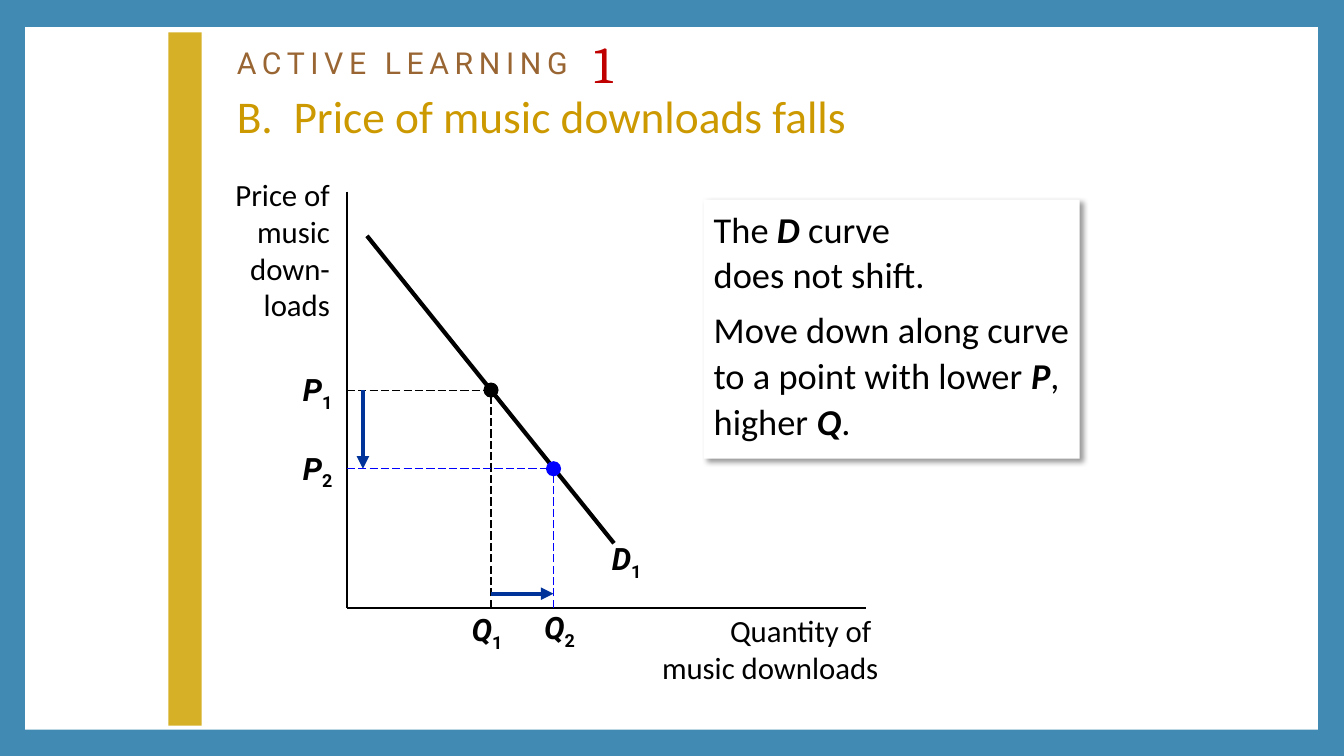
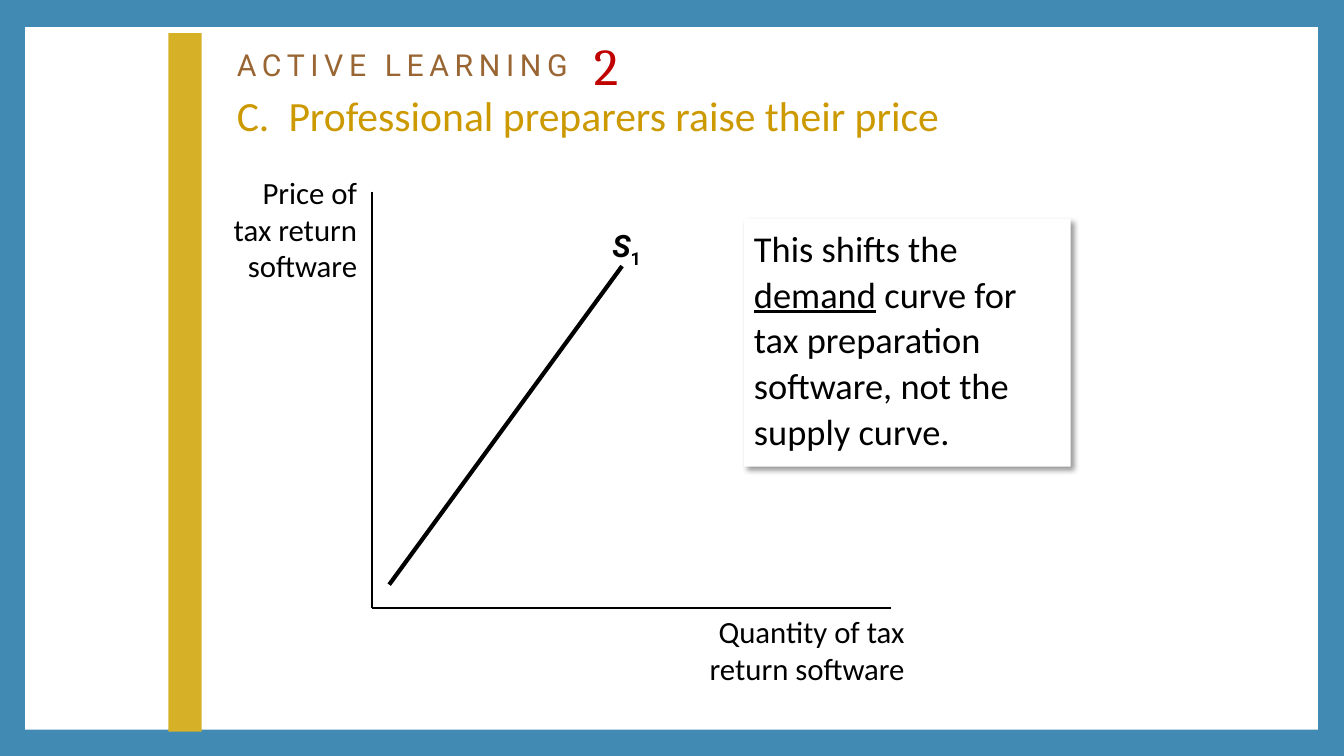
from lxml.etree import SubElement
from pptx import Presentation
from pptx.dml.color import RGBColor
from pptx.enum.dml import MSO_LINE_DASH_STYLE as Dash
from pptx.enum.shapes import MSO_CONNECTOR as Connector, MSO_SHAPE as Shape
from pptx.enum.text import MSO_ANCHOR as Anchor, PP_ALIGN as Align
from pptx.oxml.ns import qn
from pptx.util import Inches, Pt

COLORS = {
    "frame": "418AB3", "panel": "FFFFFF", "band": "D6B128", "ink": "000000",
    "eyebrow": "996633", "number": "C00000", "heading": "CC9900",
    "new": "0000FF", "arrow": "003399",
}
BODY, ACCENT, NUMERAL = "Calibri", "Roboto", "Cambria"
AXIS_TOP, AXIS_BOTTOM, AXIS_WIDTH = 1.9, 6.03, 5.15
DOT = 0.15
SYMBOL = {"bold": True, "italic": True}


def rgb(name):
    return RGBColor.from_string(COLORS[name])


def add_block(slide, kind, left, top, width, height, color):
    block = slide.shapes.add_shape(
        kind, Inches(left), Inches(top), Inches(width), Inches(height))
    block.shadow.inherit = False
    block.fill.solid()
    block.fill.fore_color.rgb = rgb(color)
    block.line.fill.background()
    return block


def add_line(slide, start, end, color="ink", width=1, dash=None, arrow=False):
    line = slide.shapes.add_connector(
        Connector.STRAIGHT, *(Inches(value) for value in (*start, *end)))
    line.line.color.rgb = rgb(color)
    line.line.width = Pt(width)
    if dash:
        line.line.dash_style = dash
    properties = line._element.spPr
    if arrow:
        SubElement(properties.find(qn("a:ln")), qn("a:tailEnd"), type="triangle")
    SubElement(properties, qn("a:effectLst"))


def write(paragraph, pieces, size, font=BODY, color="ink"):
    """Write (text, style) pieces; a style overrides the shared look."""
    for text, style in pieces:
        look = {"size": size, "font": font, "color": color, **style}
        for index, part in enumerate(text.split("\n")):
            if index:
                paragraph.add_line_break()
            if not part:
                continue
            run = paragraph.add_run()
            run.text = part
            run.font.size = Pt(look["size"])
            run.font.name = look["font"]
            run.font.color.rgb = rgb(look["color"])
            run.font.bold = look.get("bold", False)
            run.font.italic = look.get("italic", False)
            run.font.underline = look.get("underline", False)
            properties = run._r.get_or_add_rPr()
            if "baseline" in look:
                properties.set("baseline", str(look["baseline"] * 1000))
            if "spacing" in look:
                properties.set("spc", str(round(look["spacing"] * 100)))


def add_text(slide, left, top, width, height, pieces, size=22, align=Align.LEFT,
             font=BODY):
    box = slide.shapes.add_textbox(
        Inches(left), Inches(top), Inches(width), Inches(height))
    box.text_frame.word_wrap = True
    paragraph = box.text_frame.paragraphs[0]
    paragraph.alignment = align
    write(paragraph, pieces, size, font)
    return box


def add_axis_label(slide, left, top, width, height, text):
    add_text(slide, left, top, width, height, [(text, {})], align=Align.RIGHT)


def add_symbol(slide, left, top, letter, index, width=0.66, align=Align.CENTER):
    """Add a bold letter with a subscript, such as P1."""
    pieces = [(letter, SYMBOL), (index, {"bold": True, "baseline": -25})]
    add_text(slide, left, top, width, 0.47, pieces, align=align, font=ACCENT)


def add_title(slide, number, letter, heading, size, width):
    eyebrow = {"size": 21.6, "font": ACCENT, "color": "eyebrow"}
    pieces = [
        ("ACTIVE LEARNING", {**eyebrow, "spacing": 4}),
        (" ", {**eyebrow, "spacing": 9}),
        (number, {"size": 63.9, "font": NUMERAL, "color": "number", "baseline": -10}),
        (f"\n{letter}.", {"color": "heading"}),
        (" ", {"spacing": size * 0.23}),
        (heading, {"color": "heading"}),
    ]
    title = add_text(slide, 2.25, 0.17, width, 1.04, pieces, size)
    title.text_frame.vertical_anchor = Anchor.MIDDLE
    title.text_frame.paragraphs[0].line_spacing = 0.9


def add_callout(slide, left, top, width, height, paragraphs):
    callout = add_block(slide, Shape.RECTANGLE, left, top, width, height, "panel")
    effects = callout._element.spPr.find(qn("a:effectLst"))
    shadow = SubElement(effects, qn("a:outerShdw"), blurRad=str(Pt(4)),
                        dist=str(Pt(3)), dir="2700000", algn="tl", rotWithShape="0")
    tint = SubElement(shadow, qn("a:srgbClr"), val=COLORS["ink"])
    SubElement(tint, qn("a:alpha"), val="40000")
    frame = callout.text_frame
    frame.word_wrap = True
    frame.vertical_anchor = Anchor.TOP
    for index, pieces in enumerate(paragraphs):
        paragraph = frame.add_paragraph() if index else frame.paragraphs[0]
        paragraph.alignment = Align.LEFT
        paragraph.line_spacing = 1.05
        if index:
            paragraph.space_before = Pt(6.5)
        write(paragraph, pieces, 26)


def add_axes(slide, left):
    origin = (left, AXIS_BOTTOM)
    add_line(slide, (left, AXIS_TOP), origin)
    add_line(slide, origin, (left + AXIS_WIDTH, AXIS_BOTTOM))


def add_curve_point(slide, axis, point, color, index, quantity_left, quantity_top):
    """Mark a point on the curve, with guides and labels on both axes."""
    x, y = point
    for foot in ((axis, y), (x, AXIS_BOTTOM)):
        add_line(slide, foot, point, color, 0.75, Dash.LONG_DASH)
    add_block(slide, Shape.OVAL, x - DOT / 2, y - DOT / 2, DOT, DOT, color)
    add_symbol(slide, 2.82, y - 0.24, "P", index)
    add_symbol(slide, quantity_left, quantity_top, "Q", index)


def add_base(presentation, band_top, band_height):
    slide = presentation.slides.add_slide(presentation.slide_layouts[6])
    add_block(slide, Shape.RECTANGLE, 0.25, 0.27, 12.82, 6.97, "panel")
    add_block(slide, Shape.RECTANGLE, 1.67, band_top, 0.33, band_height, "band")
    return slide


def add_downloads_slide(presentation):
    slide = add_base(presentation, 0.32, 6.88)
    add_title(slide, "1", "B", "Price of music downloads falls", 32.4, 8.98)
    add_callout(slide, 6.98, 1.98, 3.73, 2.57, [
        [("The ", {}), ("D", SYMBOL), (" curve \ndoes not shift.", {})],
        [("Move down along curve to a point with lower ", {}), ("P", SYMBOL),
         (", higher ", {}), ("Q", SYMBOL), (".", {})],
    ])
    axis = 3.44
    add_axes(slide, axis)
    add_axis_label(slide, 1.95, 1.69, 1.42, 1.58, "Price of music down-loads")
    add_axis_label(slide, 5.93, 6.02, 2.88, 0.83, "Quantity of \nmusic downloads")
    add_line(slide, (3.64, 2.34), (6.09, 5.39), width=3)
    add_symbol(slide, 5.97, 5.31, "D", "1", align=Align.LEFT)

    before, after = (4.87, 3.87), (5.49, 4.65)
    add_curve_point(slide, axis, before, "ink", "1", 4.5, 6.01)
    add_curve_point(slide, axis, after, "new", "2", 5.22, 5.99)
    price_x, quantity_y = 3.6, 5.89
    add_line(slide, (price_x, before[1]), (price_x, after[1]), "arrow", 3, arrow=True)
    add_line(slide, (before[0], quantity_y), (after[0], quantity_y), "arrow", 3,
             arrow=True)


def add_software_slide(presentation):
    slide = add_base(presentation, 0.33, 6.93)
    add_title(slide, "2", "C", "Professional preparers raise their price", 29.7, 9.25)
    add_callout(slide, 7.38, 2.17, 3.24, 2.46, [
        [("This shifts the ", {}), ("demand", {"underline": True}),
         (" curve for tax preparation software, not the supply curve.", {})],
    ])
    add_axes(slide, 3.69)
    add_axis_label(slide, 2.1, 1.67, 1.54, 1.21, "Price of tax return software")
    add_axis_label(slide, 6.65, 6.03, 2.42, 0.83, "Quantity of tax return software")
    add_line(slide, (6.17, 2.64), (3.86, 5.8), width=3)
    add_symbol(slide, 5.93, 2.2, "S", "1", width=0.57)


def main():
    presentation = Presentation()
    presentation.slide_width = Inches(13.33)
    presentation.slide_height = Inches(7.5)
    backdrop = presentation.slide_master.background.fill
    backdrop.solid()
    backdrop.fore_color.rgb = rgb("frame")
    add_downloads_slide(presentation)
    add_software_slide(presentation)
    presentation.save("out.pptx")


if __name__ == "__main__":
    main()
